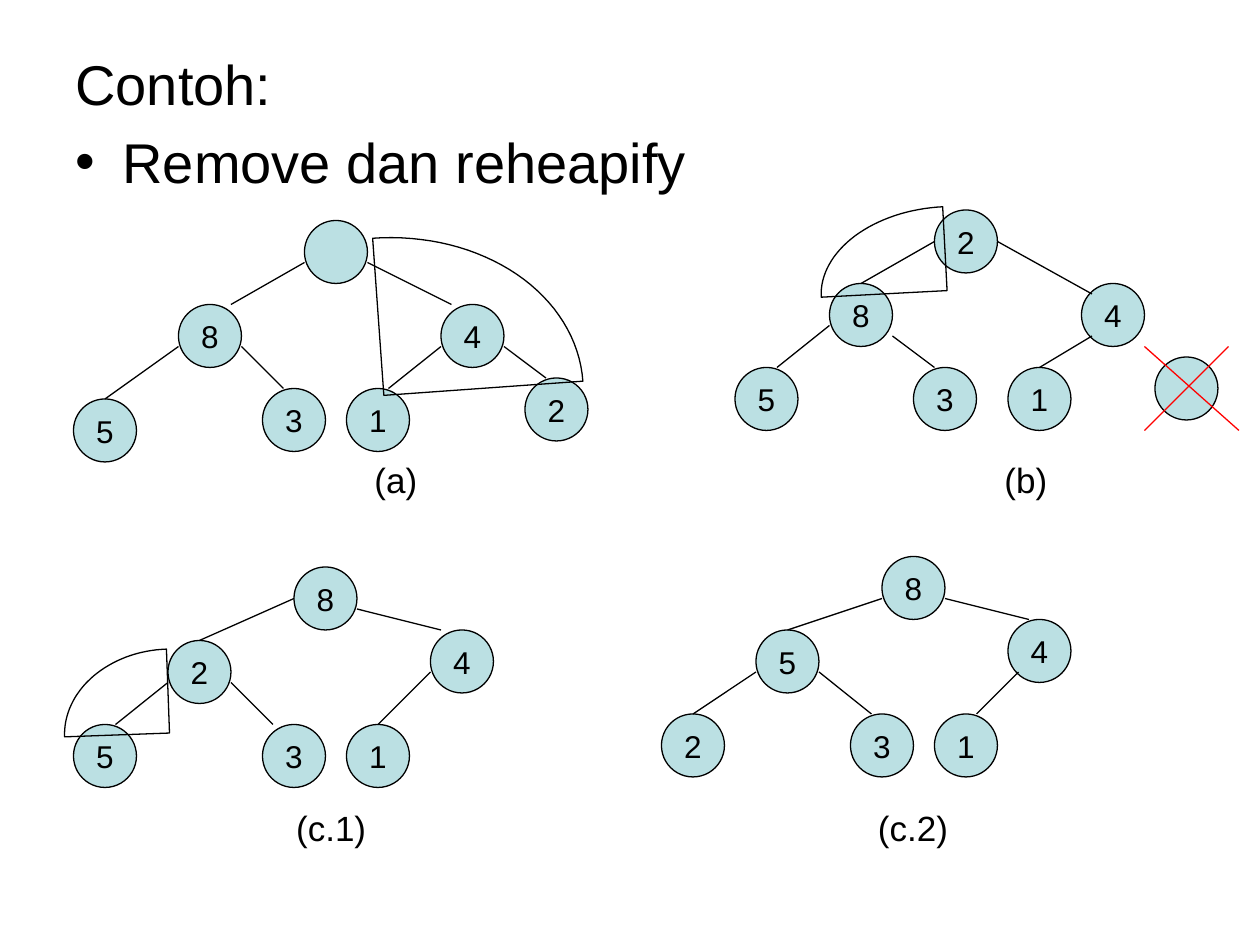
from math import cos, pi, sin

from lxml.etree import SubElement
from pptx import Presentation
from pptx.dml.color import RGBColor
from pptx.enum.shapes import MSO_CONNECTOR as Connector, MSO_SHAPE as Shape
from pptx.enum.text import MSO_ANCHOR as Anchor, PP_ALIGN as Align
from pptx.oxml.ns import qn
from pptx.util import Cm, Pt

BLACK = RGBColor(0x00, 0x00, 0x00)
RED = RGBColor(0xFF, 0x00, 0x00)
NODE_BLUE = RGBColor(0xBB, 0xE0, 0xE3)
GRID = 2.54 / 12
NODE_SIZE = 6
ARC_STEPS = 32

TREES = [
    {
        "nodes": [("", 29, 21), ("8", 17, 29), ("4", 42, 29), ("5", 7, 38),
                  ("3", 25, 37), ("1", 33, 37), ("2", 50, 36)],
        "edges": [(29, 25, 22, 29), (35, 25, 43, 29), (17, 33, 10, 38),
                  (23, 33, 27, 37), (42, 33, 37, 37), (48, 33, 52, 36)],
        "wedges": [(36, 22, 19, 15, -4.1, False)],
        "caption": ("(a)", 7.3, 9.12),
    },
    {
        "nodes": [("2", 89, 20), ("8", 79, 27), ("4", 103, 27), ("5", 70, 35),
                  ("3", 87, 35), ("1", 96, 35), ("", 110, 34)],
        "edges": [(89, 23, 82, 27), (95, 23, 104, 28), (79, 31, 74, 35),
                  (85, 32, 89, 35), (104, 32, 99, 35)],
        "wedges": [(78, 20, 12, 8, -3, True)],
        "caption": ("(b)", 20, 9.12),
    },
    {
        "nodes": [("8", 28, 54), ("2", 16, 61), ("4", 41, 60), ("5", 7, 69),
                  ("3", 25, 69), ("1", 33, 69)],
        "edges": [(28, 57, 19, 61), (34, 58, 42, 60), (16, 65, 11, 69),
                  (22, 65, 26, 69), (41, 64, 36, 69)],
        "wedges": [(6, 62, 10, 8, -2.1, True)],
        "caption": ("(c.1)", 5.72, 16.13),
    },
    {
        "nodes": [("8", 84, 53), ("5", 72, 60), ("4", 96, 59), ("2", 63, 68),
                  ("3", 81, 68), ("1", 89, 68)],
        "edges": [(84, 57, 75, 60), (90, 57, 98, 59), (72, 64, 66, 68),
                  (78, 64, 83, 68), (97, 64, 93, 68)],
        "wedges": [],
        "caption": ("(c.2)", 17.45, 16.13),
    },
]
CROSS = [(109, 41, 117, 33), (109, 33, 118, 41)]


def grid(units):
    return Cm(units * GRID)


class HeapSlide:
    """Draws heap trees on one slide in a single style."""

    def __init__(self, slide, font="Arial", line_width=0.75):
        self.slide = slide
        self.shapes = slide.shapes
        self.font = font
        self.line_width = Pt(line_width)
        self.node_tops = {}

    def style_text(self, paragraph, size):
        for run in paragraph.runs:
            run.font.name = self.font
            run.font.size = Pt(size)
            run.font.color.rgb = BLACK

    def style_line(self, shape, color=BLACK):
        shape.line.color.rgb = color
        shape.line.width = self.line_width

    def text(self, text, left, top, width, height, size, bullet=False):
        box = self.shapes.add_textbox(Cm(left), Cm(top), Cm(width), Cm(height))
        box.text_frame.word_wrap = True
        box.text_frame.text = text
        paragraph = box.text_frame.paragraphs[0]
        if bullet:
            properties = paragraph._p.get_or_add_pPr()
            properties.set("marL", str(Cm(0.95)))
            properties.set("indent", str(Cm(-0.95)))
            SubElement(properties, qn("a:buFont")).set("typeface", self.font)
            SubElement(properties, qn("a:buChar")).set("char", "•")
        self.style_text(paragraph, size)

    def node(self, label, left, top):
        shape = self.shapes.add_shape(
            Shape.OVAL, grid(left), grid(top), grid(NODE_SIZE), grid(NODE_SIZE))
        shape.shadow.inherit = False
        shape.fill.solid()
        shape.fill.fore_color.rgb = NODE_BLUE
        self.style_line(shape)
        self.node_tops[left + NODE_SIZE / 2, top] = shape
        if label:
            shape.text_frame.text = label
            shape.text_frame.vertical_anchor = Anchor.MIDDLE
            paragraph = shape.text_frame.paragraphs[0]
            paragraph.alignment = Align.CENTER
            self.style_text(paragraph, 18)

    def edge(self, x1, y1, x2, y2, color=BLACK):
        connector = self.shapes.add_connector(
            Connector.STRAIGHT, grid(x1), grid(y1), grid(x2), grid(y2))
        self.style_line(connector, color)
        SubElement(connector._element.spPr, qn("a:effectLst"))
        if (x2, y2) in self.node_tops:
            connector.end_connect(self.node_tops[x2, y2], 0)

    def wedge(self, left, top, width, height, rotation, opens_left):
        corner_x = left + width if opens_left else left
        reach = -width if opens_left else width
        bottom = top + height
        angles = [step * pi / 2 / ARC_STEPS for step in range(ARC_STEPS + 1)]
        arc = [(grid(corner_x + reach * sin(angle)),
                grid(bottom - height * cos(angle))) for angle in angles]
        builder = self.shapes.build_freeform(*arc[0])
        builder.add_line_segments(arc[1:] + [(grid(corner_x), grid(bottom))])
        shape = builder.convert_to_shape()
        shape.rotation = rotation
        shape.shadow.inherit = False
        shape.fill.background()
        self.style_line(shape)

    def tree(self, nodes, edges, wedges, caption):
        for node in nodes:
            self.node(*node)
        for edge in edges:
            self.edge(*edge)
        for wedge in wedges:
            self.wedge(*wedge)
        self.text(*caption, width=2.54, height=1.1, size=20)


def main():
    presentation = Presentation()
    presentation.slide_width = Cm(25.4)
    presentation.slide_height = Cm(19.05)
    heap = HeapSlide(presentation.slides.add_slide(presentation.slide_layouts[6]))
    heap.text("Contoh:", 1.27, 0.87, 22.86, 1.5, 32)
    heap.text("Remove dan reheapify", 1.27, 2.45, 22.86, 1.5, 32, bullet=True)
    for tree in TREES:
        heap.tree(**tree)
    for stroke in CROSS:
        heap.edge(*stroke, color=RED)
    presentation.save("out.pptx")


if __name__ == "__main__":
    main()
